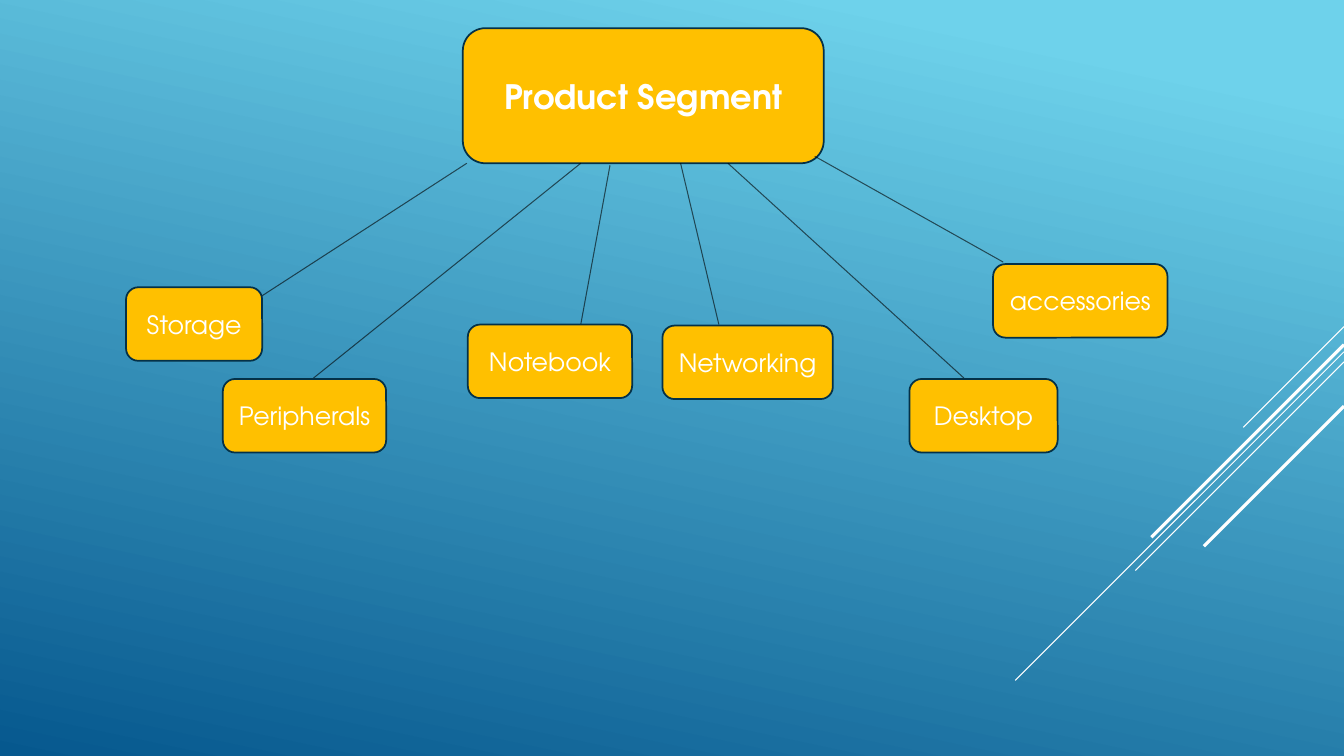
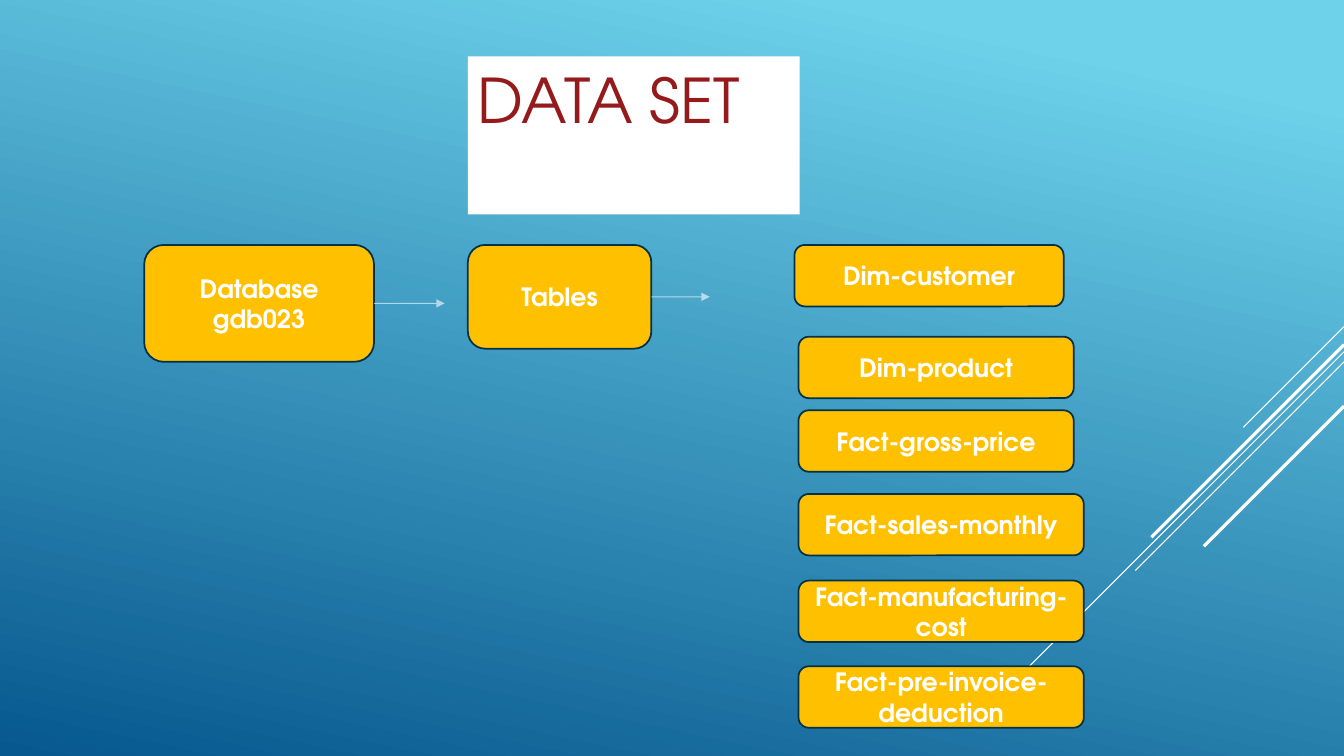
from lxml.etree import SubElement
from pptx import Presentation
from pptx.dml.color import RGBColor
from pptx.enum.shapes import MSO_CONNECTOR as Connector, MSO_SHAPE as Shape
from pptx.enum.text import MSO_ANCHOR as Anchor, MSO_AUTO_SIZE as AutoSize, PP_ALIGN as Align
from pptx.oxml.ns import qn
from pptx.util import Inches, Pt

WIDTH, HEIGHT = 13.33, 7.5
FONT = "TeX Gyre Adventor"
SKY = RGBColor(0x6E, 0xD2, 0xEB)
OCEAN = RGBColor(0x06, 0x58, 0x8E)
AMBER = RGBColor(0xFF, 0xC0, 0x00)
NAVY = RGBColor(0x04, 0x31, 0x48)
WHITE = RGBColor(0xFF, 0xFF, 0xFF)
BLACK = RGBColor(0x00, 0x00, 0x00)
MAROON = RGBColor(0x94, 0x1A, 0x1B)

NODE_TEXT = {"size": Pt(18), "bold": False}
BOLD_TEXT = {"size": Pt(18), "bold": True}
ROOT_TEXT = {"size": Pt(24), "bold": True}
TITLE_TEXT = {"size": Pt(44), "bold": False}

STRIPES = [(3.24, 1, 0.75), (3.49, 3.26, 0.75), (3.59, 2.07, 0.75), (3.42, 1.91, 2.25), (4.03, 1.39, 2.25)]

SEGMENT = ("Product Segment", (4.59, 0.28, 3.58, 1.34))
SEGMENT_HEIGHT = 0.73
PRODUCTS = [
    ("Storage", (1.25, 2.85, 1.35), (4.63, 1.62), (2.56, 2.96)),
    ("Peripherals", (2.21, 3.76, 1.62), (5.76, 1.62), (3.11, 3.75)),
    ("Notebook", (4.64, 3.22, 1.63), (6.05, 1.64), (5.76, 3.22)),
    ("Networking", (6.57, 3.23, 1.69), (6.75, 1.62), (7.13, 3.22)),
    ("Desktop", (9.02, 3.76, 1.47), (7.22, 1.62), (9.56, 3.75)),
    ("accessories", (9.85, 2.62, 1.73), (8.08, 1.55), (9.95, 2.6)),
]

TITLE = ("DATA SET", (4.64, 0.56, 3.29, 0.84))
SOURCES = [
    ("Database gdb023", (1.43, 2.43, 2.28, 1.16), 0.7),
    ("Tables", (4.64, 2.43, 1.82, 1.03), 0.58),
]
TABLE_HEIGHT = 0.61
TABLES = [
    ("Dim-customer", (7.88, 2.43, 2.67)),
    ("Dim-product", (7.92, 3.34, 2.73)),
    ("Fact-gross-price", (7.92, 4.07, 2.73)),
    ("Fact-sales-monthly", (7.92, 4.9, 2.83)),
    ("Fact-manufacturing-cost", (7.92, 5.76, 2.83)),
    ("Fact-pre-invoice-deduction", (7.92, 6.61, 2.83)),
]


def write(shape, text, style, color, align, anchor):
    frame = shape.text_frame
    frame.word_wrap = True
    frame.vertical_anchor = anchor
    para = frame.paragraphs[0]
    para.alignment = align
    span = para.add_run()
    span.text = text
    span.font.color.rgb = color
    for name, value in {"name": FONT, **style}.items():
        setattr(span.font, name, value)


def add_node(page, text, place, style):
    node = page.shapes.add_shape(Shape.ROUNDED_RECTANGLE, *map(Inches, place))
    node.shadow.inherit = False
    node.fill.solid()
    node.fill.fore_color.rgb = AMBER
    node.line.color.rgb = NAVY
    node.line.width = Pt(1.25)
    write(node, text, style, WHITE, Align.CENTER, Anchor.MIDDLE)
    return node


def add_line(page, start, end, color, weight=0.75, opacity=100, arrow=False):
    line = page.shapes.add_connector(Connector.STRAIGHT, *map(Inches, (*start, *end)))
    line.line.color.rgb = color
    line.line.width = Pt(weight)
    properties = line.element.spPr
    outline = properties.find(qn("a:ln"))
    if opacity < 100:
        tint = outline.find(qn("a:solidFill")).find(qn("a:srgbClr"))
        SubElement(tint, qn("a:alpha"), val=str(opacity * 1000))
    if arrow:
        SubElement(outline, qn("a:tailEnd"), type="triangle")
    SubElement(properties, qn("a:effectLst"))
    return line


def style_master(master, page):
    fill = master.background.fill
    fill.gradient()
    fill.gradient_angle = 360 - 102
    for stop, color, position in zip(fill.gradient_stops, (SKY, OCEAN), (0.1, 1)):
        stop.color.rgb = color
        stop.position = position
    for top, reach, weight in STRIPES:
        stripe = add_line(page, (WIDTH, top), (WIDTH - reach, top + reach), WHITE, weight)
        master.shapes.element.append(stripe.element)


def build_segments(page):
    add_node(page, *SEGMENT, ROOT_TEXT)
    for label, place, start, end in PRODUCTS:
        add_line(page, start, end, BLACK, opacity=60)
        add_node(page, label, (*place, SEGMENT_HEIGHT), NODE_TEXT)


def build_data_set(page):
    text, place = TITLE
    title = page.shapes.title
    for name, value in zip(("left", "top", "width", "height"), place):
        setattr(title, name, Inches(value))
    title.fill.solid()
    title.fill.fore_color.rgb = WHITE
    write(title, text, TITLE_TEXT, MAROON, Align.LEFT, Anchor.TOP)
    title.text_frame.auto_size = AutoSize.SHAPE_TO_FIT_TEXT
    for label, place, reach in SOURCES:
        node = add_node(page, label, place, BOLD_TEXT)
        left, top, width, height = place
        right, middle = left + width, top + height / 2
        arrow = add_line(page, (right, middle), (right + reach, middle), WHITE, opacity=60, arrow=True)
        arrow.begin_connect(node, 3)
    for label, place in TABLES:
        add_node(page, label, (*place, TABLE_HEIGHT), BOLD_TEXT)


def main():
    deck = Presentation()
    deck.slide_width, deck.slide_height = Inches(WIDTH), Inches(HEIGHT)
    segments = deck.slides.add_slide(deck.slide_layouts[6])
    data_set = deck.slides.add_slide(deck.slide_layouts[5])
    style_master(deck.slide_master, segments)
    build_segments(segments)
    build_data_set(data_set)
    deck.save("out.pptx")


if __name__ == "__main__":
    main()
